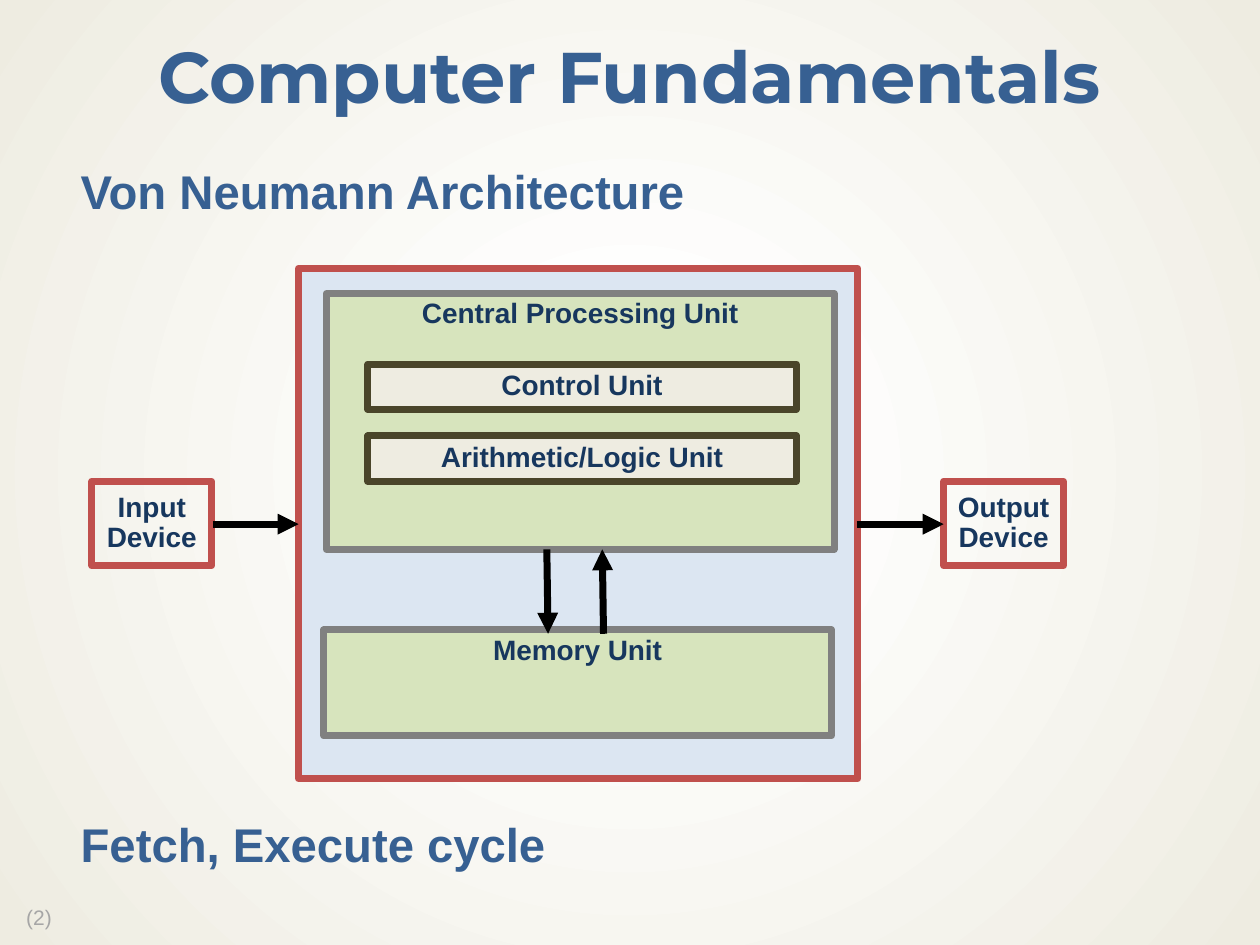
import pptx
import pptx.dml.color
import pptx.enum.shapes
import pptx.enum.text
import pptx.oxml
import pptx.oxml.ns
import pptx.util
import lxml.etree

Inches = pptx.util.Inches
Pt = pptx.util.Pt
ALIGN = pptx.enum.text.PP_ALIGN
ANCHOR = pptx.enum.text.MSO_ANCHOR
qn = pptx.oxml.ns.qn

BLUE, NAVY, RED, GRAY = "376092", "17375E", "C0504D", "808080"
GREEN, CREAM, BROWN, PALE = "D7E4BD", "EEECE1", "4A452A", "DCE6F2"


def color(code):
    return pptx.dml.color.RGBColor.from_string(code)


def place(shape, box):
    shape.left, shape.top, shape.width, shape.height = map(Inches, box)


def write(frame, text, size, tint, bold=True, align=ALIGN.CENTER, face="Arial"):
    frame.text = text
    frame.auto_size = pptx.enum.text.MSO_AUTO_SIZE.NONE
    for par in frame.paragraphs:
        par.alignment = align
        par.line_spacing = 0.9
        par.space_before = Pt(0)
        par.font.name = face
        par.font.size = Pt(size)
        par.font.bold = bold
        par.font.color.rgb = color(tint)


def paint_back(slide):
    slide.background.fill.gradient()
    grad = slide.element.find(".//" + qn("a:gradFill"))
    for child in list(grad):
        grad.remove(child)
    stops = lxml.etree.SubElement(grad, qn("a:gsLst"))
    for spot, code in ((18, "FFFFFF"), (100, CREAM)):
        stop = lxml.etree.SubElement(stops, qn("a:gs"), pos=str(spot * 1000))
        lxml.etree.SubElement(stop, qn("a:srgbClr"), val=code)
    ring = lxml.etree.SubElement(grad, qn("a:path"), path="circle")
    sides = dict.fromkeys("ltrb", "50000")
    lxml.etree.SubElement(ring, qn("a:fillToRect"), **sides)


def add_title(slide):
    title = slide.shapes.title
    place(title, (0, 0.17, 10, 0.94))
    write(title.text_frame, "Computer Fundamentals", 41, BLUE, face="Montserrat")
    title.text_frame.vertical_anchor = ANCHOR.MIDDLE


def add_body(slide):
    body = slide.placeholders[1]
    place(body, (0.52, 1.28, 9.11, 5.65))
    frame = body.text_frame
    write(frame, "Von Neumann Architecture\nFetch, Execute cycle", 27, BLUE,
          align=ALIGN.LEFT)
    frame.margin_left = frame.margin_right = Inches(0.12)
    frame.margin_top = frame.margin_bottom = Inches(0.06)
    for par in frame.paragraphs:
        props = par._p.get_or_add_pPr()
        props.set("marL", "0")
        props.set("indent", "0")
        font = props.find(qn("a:defRPr"))
        font.addprevious(pptx.oxml.parse_xml(
            "<a:buNone %s/>" % pptx.oxml.ns.nsdecls("a")))
    frame.paragraphs[1].space_before = Pt(344)


def add_box(slide, box, edge, fill=None, text="", anchor=ANCHOR.MIDDLE):
    kind = pptx.enum.shapes.MSO_SHAPE.RECTANGLE
    shape = slide.shapes.add_shape(kind, *map(Inches, box))
    shape.shadow.inherit = False
    if fill:
        shape.fill.solid()
        shape.fill.fore_color.rgb = color(fill)
    else:
        shape.fill.background()
    shape.line.color.rgb = color(edge)
    shape.line.width = Pt(4)
    if text:
        frame = shape.text_frame
        write(frame, text, 16, NAVY)
        frame.vertical_anchor = anchor
        frame.margin_left = frame.margin_right = Inches(0.05)


def add_arrow(slide, *ends):
    kind = pptx.enum.shapes.MSO_CONNECTOR.STRAIGHT
    arrow = slide.shapes.add_connector(kind, *map(Inches, ends))
    arrow.line.color.rgb = color("000000")
    arrow.line.width = Pt(4)
    line = arrow.line._get_or_add_ln()
    lxml.etree.SubElement(line, qn("a:tailEnd"), type="triangle")
    lxml.etree.SubElement(arrow._element.spPr, qn("a:effectLst"))


def add_number(slide):
    box = slide.shapes.add_textbox(*map(Inches, (0.11, 7.15, 0.56, 0.28)))
    write(box.text_frame, "(2)", 12, "A6A6A6", bold=False, align=ALIGN.LEFT)


def main():
    deck = pptx.Presentation()
    deck.slide_width, deck.slide_height = Inches(10), Inches(7.5)
    slide = deck.slides.add_slide(deck.slide_layouts[1])
    paint_back(slide)
    add_number(slide)
    add_title(slide)
    add_body(slide)

    for left, name in ((0.73, "Input"), (7.49, "Output")):
        add_box(slide, (left, 3.82, 0.95, 0.67), RED, text=name + "\nDevice")
    add_box(slide, (2.37, 2.13, 4.44, 4.05), RED, PALE)
    add_box(slide, (2.59, 2.33, 4.03, 2.03), GRAY, GREEN,
            "Central Processing Unit", ANCHOR.TOP)
    for top, name in ((2.89, "Control Unit"), (3.46, "Arithmetic/Logic Unit")):
        add_box(slide, (2.92, top, 3.4, 0.36), BROWN, CREAM, name)
    add_box(slide, (2.57, 5, 4.03, 0.84), GRAY, GREEN, "Memory Unit", ANCHOR.TOP)

    add_arrow(slide, 4.34, 4.36, 4.35, 5.03)
    add_arrow(slide, 4.79, 5.03, 4.78, 4.36)
    add_arrow(slide, 1.69, 4.16, 2.37, 4.16)
    add_arrow(slide, 6.8, 4.16, 7.49, 4.16)
    deck.save("out.pptx")


if __name__ == "__main__":
    main()
